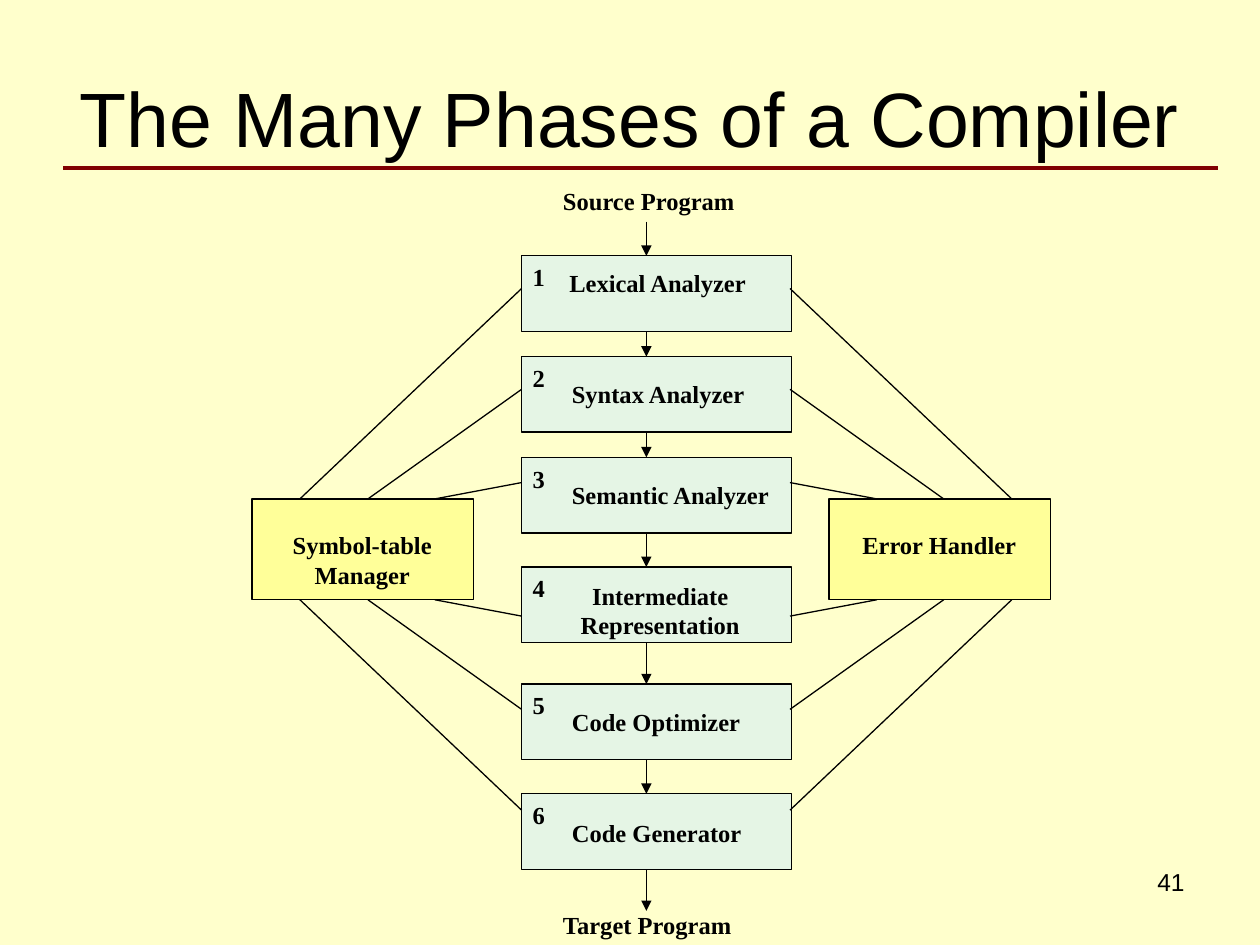
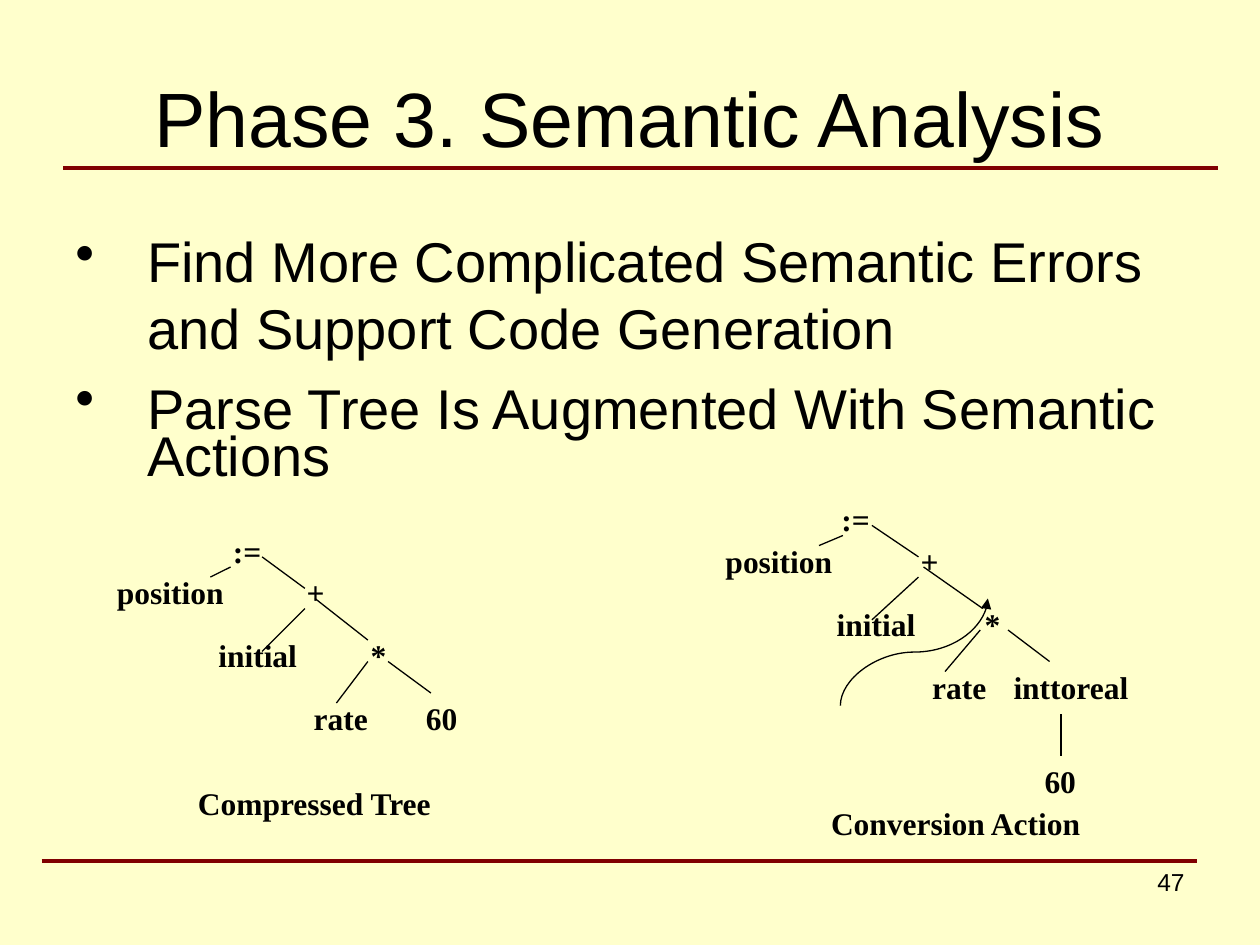
from lxml.etree import SubElement
from pptx import Presentation
from pptx.dml.color import RGBColor
from pptx.enum.shapes import MSO_CONNECTOR, MSO_SHAPE
from pptx.enum.text import MSO_ANCHOR, PP_ALIGN
from pptx.oxml.ns import qn
from pptx.util import Inches, Pt

COLORS = {
    "page": "FFFFCC",
    "ink": "000000",
    "rule": "800000",
    "phase": "CCECFF",
    "hub": "FFFF99",
}
SANS, SERIF = "Arial", "Times New Roman"
LEFT, MID, RIGHT = PP_ALIGN.LEFT, PP_ALIGN.CENTER, PP_ALIGN.RIGHT


def color(name):
    return RGBColor.from_string(COLORS[name])


class Deck:
    def __init__(self):
        self.prs = Presentation()
        self.prs.slide_width, self.prs.slide_height = Inches(10), Inches(7.5)
        self.slide = None

    def page(self, title, number):
        """Start a slide with its title, rule and number."""
        self.slide = self.prs.slides.add_slide(self.prs.slide_layouts[6])
        fill = self.slide.background.fill
        fill.solid()
        fill.fore_color.rgb = color("page")
        self.rule(0.5, 1.33)
        frame = self.text(title, 0.5, 0.3, 9, 1.25, 44, SANS, MID)
        frame.vertical_anchor = MSO_ANCHOR.MIDDLE
        self.text(str(number), 7.17, 6.83, 2.33, 0.52, 14, SANS, RIGHT)

    def style(self, par, size, face, align=LEFT):
        par.alignment = align
        font = par.font
        font.size, font.name = Pt(size), face
        font.bold = face == SERIF
        font.color.rgb = color("ink")

    def text(self, words, x, y, w, h, size=14, face=SERIF, align=LEFT):
        box = self.slide.shapes.add_textbox(
            Inches(x), Inches(y), Inches(w), Inches(h))
        frame = box.text_frame
        frame.word_wrap = True
        frame.text = words
        self.style(frame.paragraphs[0], size, face, align)
        return frame

    def points(self, items, x, y, w, h):
        """Bulleted list; each item is (words, line spacing)."""
        frame = self.text("", x, y, w, h)
        for i, (words, pitch) in enumerate(items):
            par = frame.add_paragraph() if i else frame.paragraphs[0]
            par.text = words
            self.style(par, 32, SANS)
            par.line_spacing = pitch
            par.space_before = Pt(18 if i else 0)
            props = par._p.get_or_add_pPr()
            props.set("marL", str(Inches(0.57)))
            props.set("indent", str(-Inches(0.57)))
            SubElement(props, qn("a:buChar")).set("char", "•")

    def box(self, x, y, w, h, fill, alpha=None):
        rect = self.slide.shapes.add_shape(
            MSO_SHAPE.RECTANGLE, Inches(x), Inches(y), Inches(w), Inches(h))
        rect.shadow.inherit = False
        rect.fill.solid()
        rect.fill.fore_color.rgb = color(fill)
        rect.line.color.rgb = color("ink")
        rect.line.width = Pt(0.75)
        if alpha:
            tint = rect._element.spPr.find(
                qn("a:solidFill")).find(qn("a:srgbClr"))
            SubElement(tint, qn("a:alpha")).set("val", str(alpha * 1000))

    def line(self, x1, y1, x2, y2, arrow=False, ink="ink", width=0.75,
             kind=MSO_CONNECTOR.STRAIGHT):
        link = self.slide.shapes.add_connector(
            kind, Inches(x1), Inches(y1), Inches(x2), Inches(y2))
        link.line.color.rgb = color(ink)
        link.line.width = Pt(width)
        if arrow:
            SubElement(link.line._get_or_add_ln(),
                       qn("a:tailEnd")).set("type", "triangle")
        SubElement(link._element.spPr, qn("a:effectLst"))
        return link

    def rule(self, x, y):
        self.line(x, y, x + 9.17, y, ink="rule", width=2.25)

    def curve(self, x, y, w, h):
        """Arrow that leaves and arrives upright: an S turned by 270 degrees."""
        link = self.line(x, y, x + w, y + h, True, kind=MSO_CONNECTOR.CURVE)
        link._element.spPr.find(qn("a:xfrm")).set("rot", str(270 * 60000))

    def tree(self, nodes, edges, dx=0, dy=0, stretch=1):
        for words, x, y, w, align in nodes:
            self.text(words, x + dx, y + dy, w * stretch, 0.4, 18, SERIF, align)
        for edge in edges:
            self.line(*edge)


# Phases: name, top of box, label left, label drop, label width, alignment
PHASES = [
    ("Lexical Analyzer", 2.03, 4.42, 0.05, 1.83, LEFT),
    ("Syntax Analyzer", 2.83, 4.44, 0.13, 1.6, LEFT),
    ("Semantic Analyzer", 3.63, 4.44, 0.13, 2.21, LEFT),
    ("Intermediate Representation", 4.5, 4.44, 0.06, 1.6, MID),
    ("Code Optimizer", 5.43, 4.44, 0.13, 1.6, LEFT),
    ("Code Generator", 6.3, 4.44, 0.14, 1.6, LEFT),
]
HIGH = 0.6

# Tree nodes: words, left, top, width, alignment
NODES = [
    ("position", 0.83, 4.5, 1.25, LEFT),
    ("initial", 1.42, 5, 1.25, MID),
    ("rate", 2.08, 5.5, 1.25, MID),
    (":=", 1.75, 4.17, 0.67, LEFT),
    ("+", 2.17, 4.5, 0.67, MID),
    ("*", 2.67, 5, 0.67, MID),
]
SMALL = [
    (1.83, 4.5, 1.67, 4.58), (2.08, 4.42, 2.42, 4.67),
    (2.42, 4.83, 2.08, 5.17), (2.5, 4.75, 2.92, 5.08),
    (2.92, 5.25, 2.67, 5.58), (3.08, 5.25, 3.42, 5.5),
]
LARGE = [
    (6.69, 4.25, 6.5, 4.33), (6.92, 4.17, 7.29, 4.42),
    (7.29, 4.58, 6.92, 4.92), (7.33, 4.5, 7.8, 4.83),
    (7.78, 5, 7.5, 5.33), (8, 5, 8.33, 5.25), (8.42, 5.67, 8.42, 6),
]


def phases(deck):
    deck.page("The Many Phases of a Compiler", 41)

    # Column of numbered phases
    deck.text("Source Program", 4.37, 1.43, 2.06, 0.33)
    for num, (name, top, x, drop, wide, align) in enumerate(PHASES, 1):
        deck.box(4.14, top, 2.14, HIGH, "phase", 50)
        deck.text(name, x, top + drop, wide, 0.33, align=align)
        deck.text(str(num), 4.13, top, 0.23, 0.33)
    deck.text("Target Program", 4.37, 7.17, 2.06, 0.33)

    # Arrows down the column
    tops = [phase[1] for phase in PHASES]
    starts = [1.76] + [top + HIGH for top in tops]
    for start, end in zip(starts, tops + [7.23]):
        deck.line(5.13, start, 5.13, end, arrow=True)

    # Hubs on both sides
    for name, x in (("Symbol-table Manager", 2), ("Error Handler", 6.58)):
        deck.box(x, 3.96, 1.76, 0.8, "hub")
        deck.text(name, x + 0.15, 4.16, 1.45, 0.57, align=MID)

    # Links from hubs to phases, mirrored both ways
    for hub, side in ((2.38, 2.29), (2.92, 3.09), (3.45, 3.83)):
        for x1, x2 in ((hub, 4.14), (10.41 - hub, 6.27)):
            deck.line(x1, 3.96, x2, side)
            deck.line(x1, 4.76, x2, 8.72 - side)


def meaning(deck):
    deck.page("Phase 3. Semantic Analysis", 47)
    deck.points([
        ("Find More Complicated Semantic Errors and Support Code Generation", 1.0),
        ("Parse Tree Is Augmented With Semantic Actions", 0.69),
    ], 0.5, 1.75, 9, 1.56)

    # Compressed tree
    deck.tree(NODES + [("60", 3.17, 5.5, 0.67, MID)], SMALL)
    deck.text("Compressed Tree", 1.33, 6.17, 2.33, 0.4, 18, align=MID)

    # Tree with conversion
    deck.tree(NODES, LARGE, 4.83, -0.25, 1.125)
    deck.text("inttoreal", 7.75, 5.25, 1.5, 0.4, 18, align=MID)
    deck.text("60", 8.08, 6, 0.67, 0.4, 18, align=MID)
    deck.text("Conversion Action", 6.42, 6.33, 2.33, 0.4, 18, align=MID)
    deck.curve(6.83, 4.59, 0.85, 1.17)

    # Lower rule
    deck.rule(0.33, 6.83)


def main():
    deck = Deck()
    phases(deck)
    meaning(deck)
    deck.prs.save("out.pptx")


if __name__ == "__main__":
    main()
